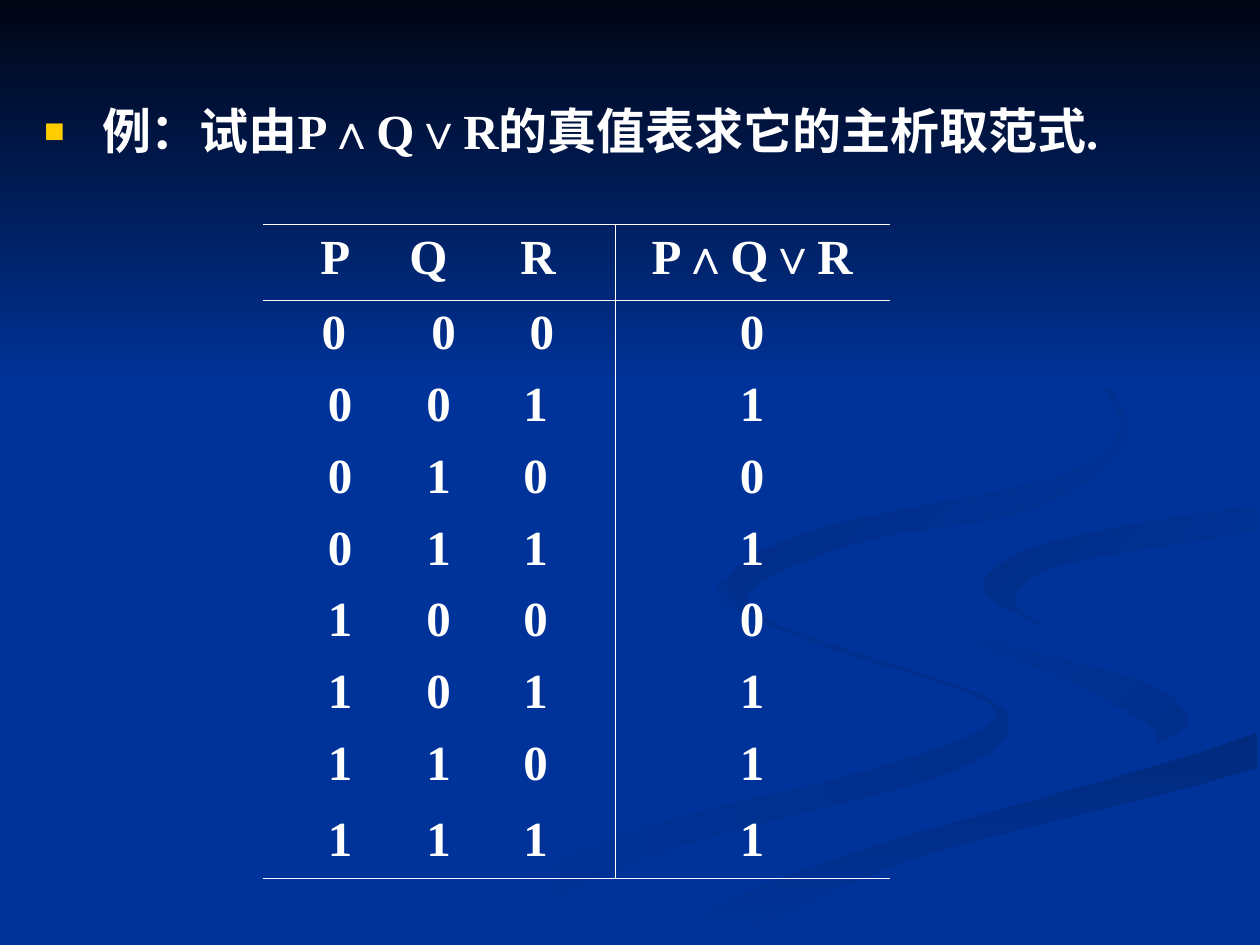
from lxml import etree
from pptx import Presentation
from pptx.dml.color import RGBColor
from pptx.enum.shapes import MSO_SHAPE
from pptx.enum.text import MSO_ANCHOR, MSO_AUTO_SIZE, PP_ALIGN
from pptx.oxml.ns import qn
from pptx.util import Inches, Pt

RECTANGLE = MSO_SHAPE.RECTANGLE
TOP = MSO_ANCHOR.TOP
NO_AUTOFIT = MSO_AUTO_SIZE.NONE
LEFT, CENTER = PP_ALIGN.LEFT, PP_ALIGN.CENTER

COLORS = {
    "blue": "003399",
    "night": "000514",
    "shade_a": "002E8B",
    "shade_b": "002A7D",
    "shade_c": "002D86",
    "shade_d": "002B82",
    "white": "FFFFFF",
    "gold": "FFCC00",
}
FONT = "Times New Roman"
FORMULA = "P∧Q∨R"

# Start colour, end colour, angle and outline knots in inches
RIBBONS = [
    ("blue", "shade_a", 0, [
        (7.81, 5.53), (6.82, 5.19), (5.94, 4.85), (5.75, 4.59), (5.76, 4.8),
        (6.54, 5.13), (7.76, 5.53), (7.8, 5.79), (6.84, 6.13), (4.99, 6.61),
        (3, 7.49), (3.61, 7.49), (5.32, 6.74), (7.4, 6.18), (8, 5.81)]),
    ("blue", "shade_a", 45, [
        (9.43, 5.7), (9.05, 5.4), (7.74, 5.03), (7.24, 4.64), (7.46, 5),
        (8.38, 5.36), (9.18, 5.81), (8.94, 6.05), (9.32, 5.89)]),
    ("shade_b", "blue", 90, [
        (5.03, 7.49), (5.71, 7.49), (7.22, 6.82), (9.98, 6.09), (9.98, 5.81),
        (7.64, 6.47), (5.99, 7.06)]),
    ("blue", "blue", 0, [
        (7.25, 4.64), (7.75, 5.03), (9.05, 5.4), (9.43, 5.75), (8.43, 6.18),
        (6.63, 6.68), (4.77, 7.49), (5.03, 7.49), (6.62, 6.81), (9.99, 5.81),
        (9.99, 5.38), (8.48, 5.03), (7.81, 4.63), (8.35, 4.3), (9.99, 4.02),
        (9.99, 3.87), (8.08, 4.17)]),
    ("shade_c", "blue", 45, [
        (7.81, 4.6), (7.91, 4.78), (8.26, 4.96), (8.05, 4.76), (8.43, 4.48),
        (9.98, 4.2), (9.98, 4.02), (8.35, 4.3)]),
    ("shade_d", "blue", 45, [
        (6.83, 4.3), (8.25, 4.02), (8.94, 3.44), (8.54, 2.83), (7.62, 2.33),
        (8.46, 2.79), (8.89, 3.35), (8.42, 3.78), (6.49, 4.2), (5.77, 4.62),
        (6.22, 5), (5.93, 4.7)]),
]

ROW_TABS = (0.51, 1.29, 2.06)
SPECIAL_TABS = {"PQR": (0.47, 1.21, 2.08), "000": (0.46, 1.33, 2.11)}
TRUTH_ROWS = [("PQR", FORMULA)] + [
    (f"{p}{q}{r}", str(p & q | r)) for p in (0, 1) for q in (0, 1) for r in (0, 1)
]


def color(name):
    """Return a palette colour."""
    return RGBColor.from_string(COLORS[name])


def paint_gradient(shape, start, end, angle):
    """Fill a shape with a two-colour gradient and drop its line and shadow."""
    shape.shadow.inherit = False
    shape.line.fill.background()
    shape.fill.gradient()
    shape.fill.gradient_angle = -angle % 360
    for stop, name in zip(shape.fill.gradient_stops, (start, end)):
        stop.color.rgb = color(name)


def blend(before, start, end, after, t):
    """Interpolate one coordinate along a Catmull-Rom curve."""
    bend = 2 * before - 5 * start + 4 * end - after
    twist = 3 * (start - end) + after - before
    value = start + t * (end - before + t * (bend + t * twist)) / 2
    return value


def smooth_outline(knots, steps=5):
    """Return a closed smooth curve through the knots, kept in their bounds."""
    bounds = [(min(axis), max(axis)) for axis in zip(*knots)]
    curve = []
    for index in range(len(knots)):
        near = [knots[(index + shift) % len(knots)] for shift in (-1, 0, 1, 2)]
        for step in range(steps):
            raw = [blend(*axis, step / steps) for axis in zip(*near)]
            curve.append(tuple(
                Inches(min(max(value, low), high))
                for value, (low, high) in zip(raw, bounds)
            ))
    return curve


def add_ribbon(page, start, end, angle, knots):
    """Draw one background ribbon."""
    points = smooth_outline(knots)
    builder = page.shapes.build_freeform(*points[0])
    builder.add_line_segments(points[1:], close=True)
    paint_gradient(builder.convert_to_shape(), start, end, angle)


def format_paragraph(para, align):
    """Apply the common text style to a paragraph."""
    para.alignment = align
    para.space_before = Pt(0)
    para.font.name = FONT
    para.font.size = Pt(28)
    para.font.bold = True
    para.font.color.rgb = color("white")


def add_bullet(para, indent):
    """Give a paragraph a hanging square bullet."""
    props = para._p.get_or_add_pPr()
    props.set("marL", str(indent))
    props.set("indent", str(-indent))
    tint = etree.SubElement(props, qn("a:buClr"))
    etree.SubElement(tint, qn("a:srgbClr"), val=COLORS["gold"])
    etree.SubElement(props, qn("a:buSzPct"), val="70000")
    etree.SubElement(props, qn("a:buChar"), char="■")


def add_tabs(para, stops):
    """Set centred tab stops given in inches."""
    tabs = etree.SubElement(para._p.get_or_add_pPr(), qn("a:tabLst"))
    for stop in stops:
        etree.SubElement(tabs, qn("a:tab"), pos=str(Inches(stop)), algn="ctr")


def write_statement(page):
    """Fill the body placeholder with the exercise and remove the title."""
    title, body = page.placeholders
    title._element.getparent().remove(title._element)
    body.left, body.top = Inches(0.25), Inches(0.75)
    body.width, body.height = Inches(9.13), Inches(0.58)
    frame = body.text_frame
    frame.auto_size = NO_AUTOFIT
    frame.vertical_anchor = TOP
    para = frame.paragraphs[0]
    para.text = f"例：试由{FORMULA}的真值表求它的主析取范式."
    add_bullet(para, Inches(0.46))
    format_paragraph(para, LEFT)
    page.shapes._spTree.append(body._element)


def set_borders(cell, visible):
    """Draw the named sides of a cell and hide the others."""
    props = cell._tc.get_or_add_tcPr()
    for side in "LRTB":
        line = etree.SubElement(props, qn(f"a:ln{side}"), w=str(Pt(0.45)))
        if side in visible:
            fill = etree.SubElement(line, qn("a:solidFill"))
            etree.SubElement(fill, qn("a:srgbClr"), val=COLORS["white"])
        else:
            etree.SubElement(line, qn("a:noFill"))


def add_truth_table(page):
    """Add the truth table with its ruled lines."""
    last = len(TRUTH_ROWS) - 1
    table = page.shapes.add_table(
        len(TRUTH_ROWS), 2, Inches(2.09), Inches(1.78), Inches(4.97), Inches(5.19)
    ).table
    table.first_row = table.horz_banding = False
    table.columns[0].width, table.columns[1].width = Inches(2.79), Inches(2.18)
    for index, (inputs, result) in enumerate(TRUTH_ROWS):
        table.rows[index].height = Inches(0.6 if index in (0, last - 1) else 0.57)
        rules = {0: "TB", 1: "T", last: "B"}.get(index, "")
        texts = ("".join(f"\t{value}" for value in inputs), result)
        for column, text in enumerate(texts):
            cell = table.cell(index, column)
            para = cell.text_frame.paragraphs[0]
            para.text = text
            if column == 0:
                add_tabs(para, SPECIAL_TABS.get(inputs, ROW_TABS))
            format_paragraph(para, CENTER if column else LEFT)
            set_borders(cell, rules + "RL"[column])
            cell.fill.background()


def main():
    """Build and save the slide."""
    deck = Presentation()
    deck.slide_width, deck.slide_height = Inches(10), Inches(7.5)
    page = deck.slides.add_slide(deck.slide_layouts[1])
    page.background.fill.solid()
    page.background.fill.fore_color.rgb = color("blue")
    for ribbon in RIBBONS:
        add_ribbon(page, *ribbon)
    sky = page.shapes.add_shape(RECTANGLE, 0, 0, Inches(10), Inches(3.08))
    paint_gradient(sky, "night", "blue", 90)
    write_statement(page)
    add_truth_table(page)
    deck.save("out.pptx")


if __name__ == "__main__":
    main()
